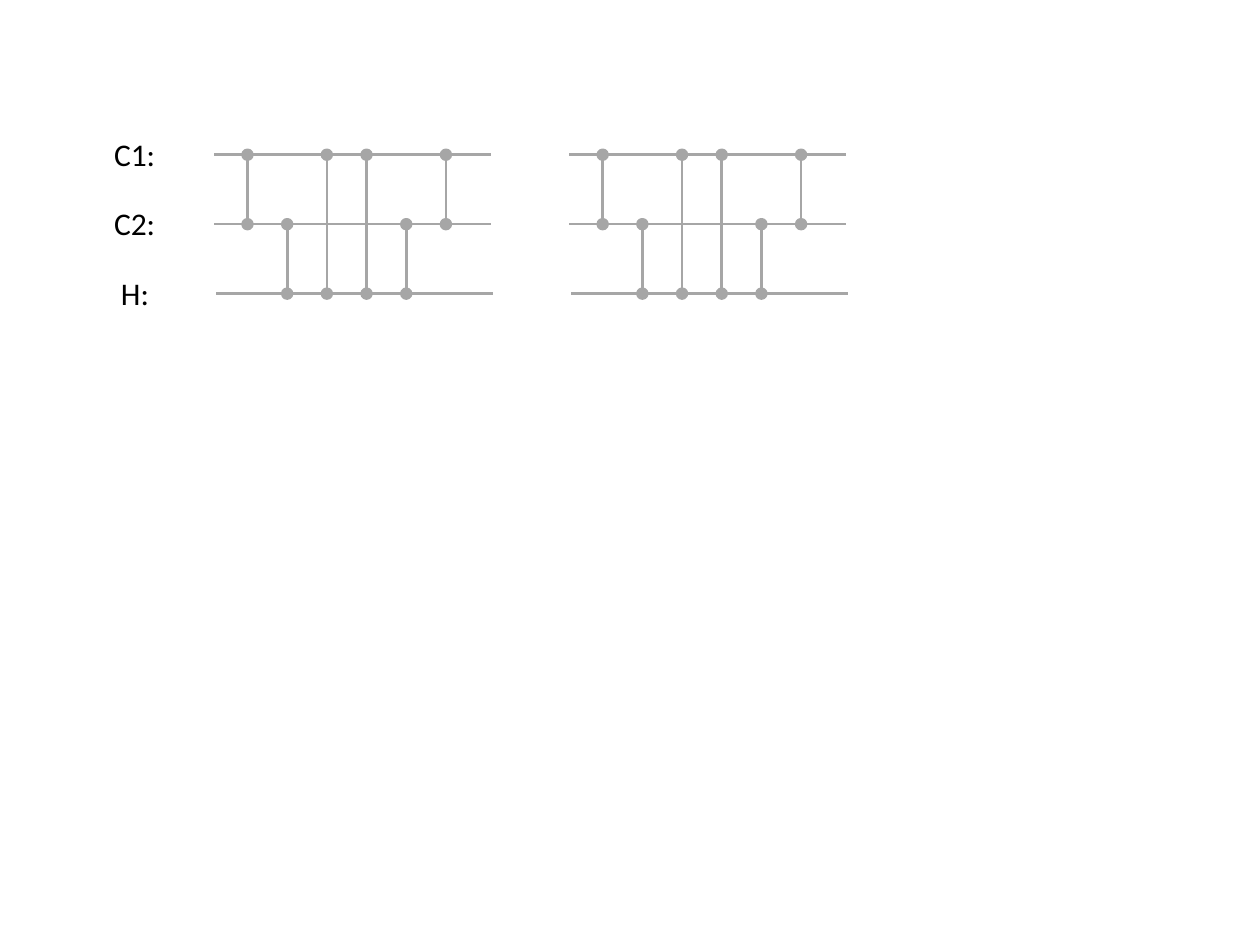
from dataclasses import dataclass

from lxml.etree import SubElement
from pptx import Presentation
from pptx.dml.color import RGBColor as Rgb
from pptx.enum.shapes import MSO_CONNECTOR as Link, MSO_SHAPE as Form
from pptx.enum.text import MSO_AUTO_SIZE as Fit
from pptx.oxml.ns import qn
from pptx.shapes.group import GroupShape as Group
from pptx.slide import Slide
from pptx.util import Cm, Pt

HUES = {"wire": "A6A6A6", "text": "000000"}
ROWS = [3.12, 4.52, 5.92]
SPAN = 5.58
LEAD = 0.67
STEP = 0.8
DOT = 0.18


@dataclass
class Label:
    text: str
    row: int
    inset: float


@dataclass
class Gate:
    top: int
    end: int


LABELS = [Label("C1:", 0, 0.25), Label("C2:", 1, 0.25), Label("H:", 2, 0.39)]
GATES = [Gate(0, 1), Gate(1, 2), Gate(0, 2), Gate(0, 2), Gate(1, 2), Gate(0, 1)]
STARTS = [4.32, 11.48]
SHIFTS = [0, 0, 0.04]


def hue(name: str) -> Rgb:
    return Rgb.from_string(HUES[name])


def add_label(slide: Slide, label: Label) -> None:
    box = slide.shapes.add_textbox(
        Cm(2.05), Cm(ROWS[label.row] - 0.53), Cm(1.5), Cm(1.02))
    frame = box.text_frame
    form = {"word_wrap": True, "auto_size": Fit.SHAPE_TO_FIT_TEXT,
            "margin_left": Cm(label.inset)}
    for key, value in form.items():
        setattr(frame, key, value)
    run = frame.paragraphs[0].add_run()
    run.text = label.text
    for key, value in {"name": "Calibri", "size": Pt(18)}.items():
        setattr(run.font, key, value)
    run.font.color.rgb = hue("text")


def add_wire(group: Group, x: float, y: float, right: float, base: float) -> None:
    wire = group.shapes.add_connector(
        Link.STRAIGHT, Cm(x), Cm(y), Cm(right), Cm(base))
    wire.line.color.rgb = hue("wire")
    wire.line.width = Pt(1.5)
    SubElement(wire.line._get_or_add_ln().getparent(), qn("a:effectLst"))


def add_dot(group: Group, x: float, y: float) -> None:
    dot = group.shapes.add_shape(
        Form.OVAL, Cm(x - DOT / 2), Cm(y - DOT / 2), Cm(DOT), Cm(DOT))
    dot.shadow.inherit = False
    dot.fill.solid()
    dot.fill.fore_color.rgb = hue("wire")
    dot.line.color.rgb = hue("wire")
    dot.line.width = Pt(2)


def add_gate(group: Group, gate: Gate, x: float) -> None:
    ends = [ROWS[gate.top], ROWS[gate.end]]
    add_wire(group, x, ends[0], x, ends[1])
    for y in ends:
        add_dot(group, x, y)


def add_circuit(slide: Slide, left: float) -> None:
    group = slide.shapes.add_group_shape()
    for y, shift in zip(ROWS, SHIFTS):
        add_wire(group, left + shift, y, left + shift + SPAN, y)
    for index, gate in enumerate(GATES):
        add_gate(group, gate, left + LEAD + index * STEP)


def main() -> None:
    deck = Presentation()
    deck.slide_width, deck.slide_height = Cm(25.4), Cm(19.05)
    slide = deck.slides.add_slide(deck.slide_layouts[6])
    for label in LABELS:
        add_label(slide, label)
    for left in STARTS:
        add_circuit(slide, left)
    deck.save("out.pptx")


if __name__ == "__main__":
    main()
